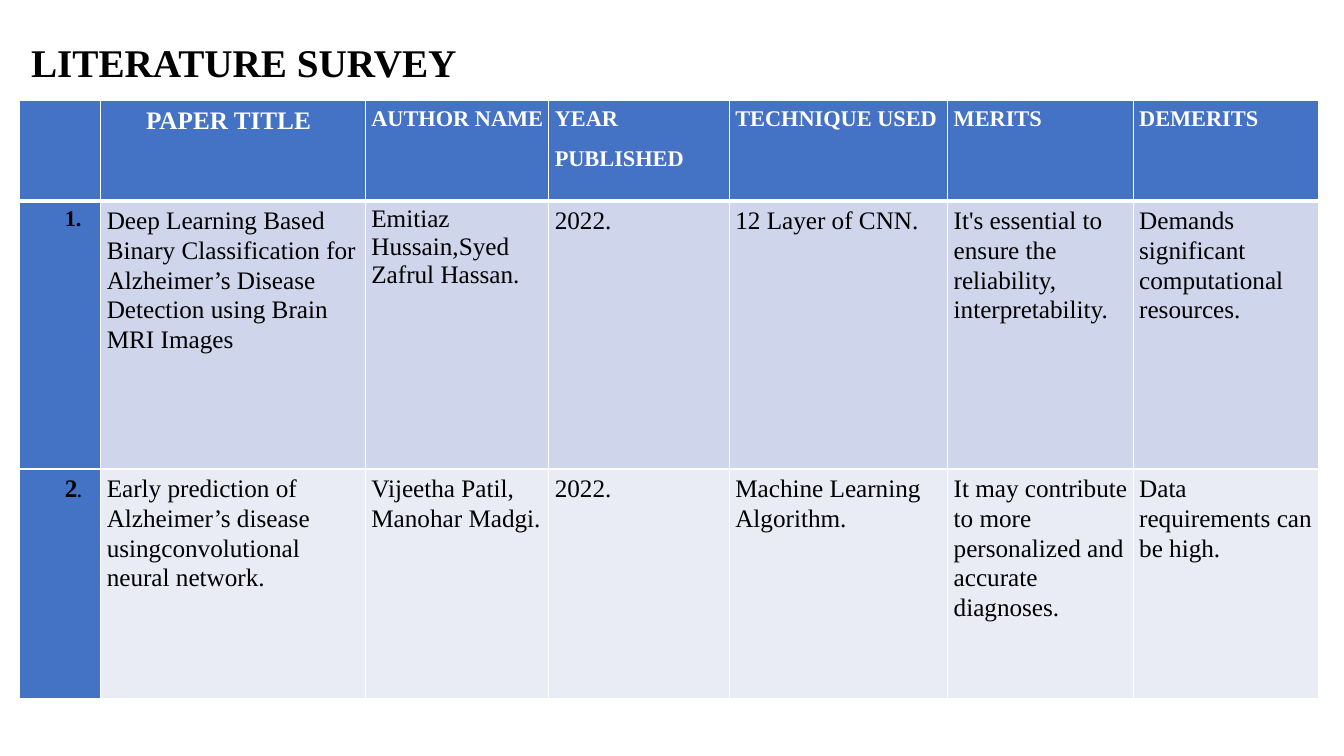
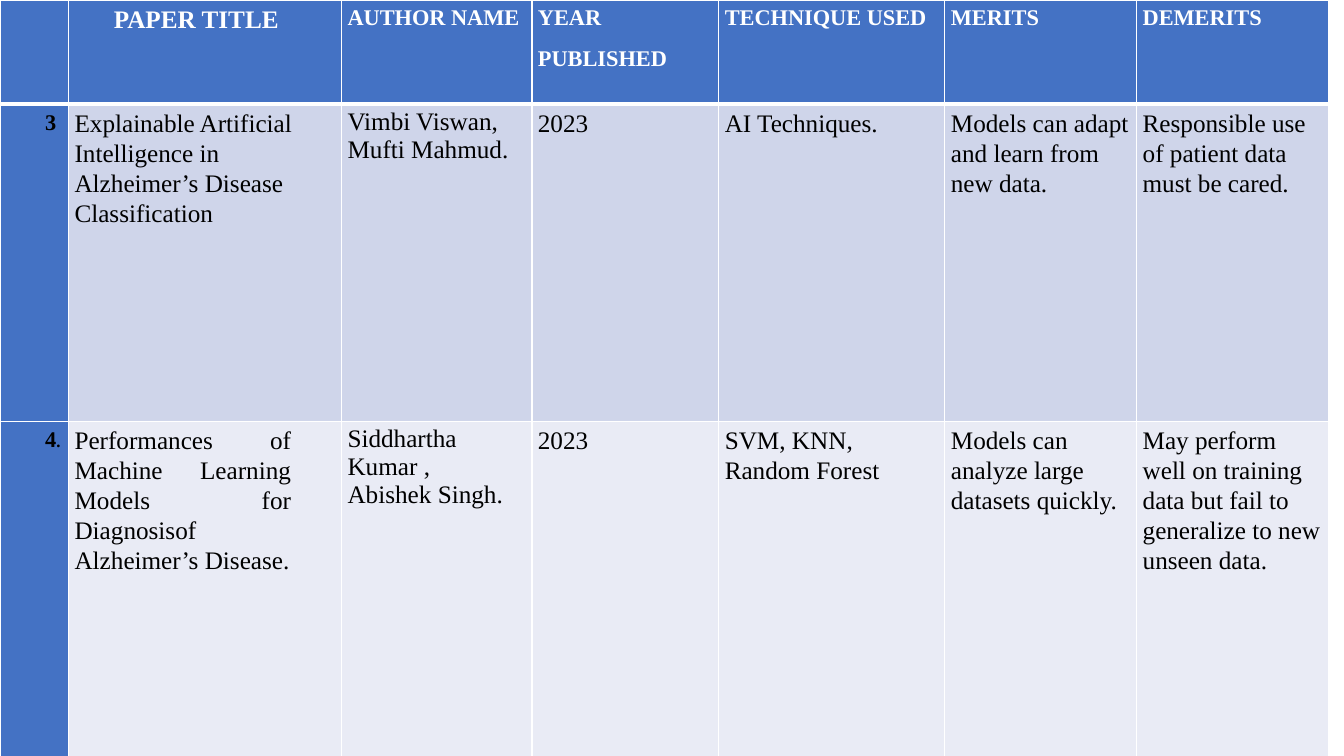
from dataclasses import dataclass

from lxml.etree import SubElement
from pptx import Presentation
from pptx.dml.color import RGBColor
from pptx.enum.text import MSO_ANCHOR, MSO_AUTO_SIZE, PP_ALIGN
from pptx.oxml.ns import qn
from pptx.util import Pt

TITLE_ONLY, BLANK = 5, 6


@dataclass(frozen=True)
class Theme:
    font: str = "Times New Roman"
    white: str = "FFFFFF"
    black: str = "000000"
    accent: str = "4472C4"
    bands: tuple = ("CFD5EA", "E9EBF5")
    title: float = 28
    body: float = 18
    head: float = 16
    dot: float = 12
    rule: float = 1
    head_rule: float = 3


THEME = Theme()
INSETS = {"margin_left": Pt(4.3), "margin_right": Pt(2.2),
          "margin_top": Pt(2.9), "margin_bottom": 0}
INDENTED = {"margin_left": Pt(32.3)}
SPACED = {"line_spacing": 1.07, "space_after": Pt(9.8)}
SINGLE = {"line_spacing": 1.0, "space_after": 0}


@dataclass
class Entry:
    """Text of one cell, with what sets it apart from its neighbours."""
    text: str
    size: float = THEME.body
    bold: bool = False
    color: str = THEME.black
    para: tuple = tuple(SPACED.items())
    cell: tuple = ()
    dot: bool = False  # ends with a smaller full stop


def heading(text, size=THEME.head, **kw):
    return Entry(text, size, True, THEME.white, **kw)


def number(text, size=THEME.head, dot=False):
    return Entry(text, size, True, cell=tuple(INDENTED.items()), dot=dot)


def single(text):
    return Entry(text, para=tuple(SINGLE.items()))


def justified(text):
    return Entry(text, para=(*SPACED.items(), ("alignment", PP_ALIGN.JUSTIFY)),
                 cell=(("margin_right", Pt(36)),))


HEADINGS = [
    Entry(""),
    heading("PAPER TITLE", THEME.body, cell=tuple(INDENTED.items())),
    heading("AUTHOR NAME"),
    heading("YEAR\nPUBLISHED"),
    heading("TECHNIQUE USED"),
    heading("MERITS"),
    heading("DEMERITS"),
]

PAPERS_2022 = [
    [number("1."),
     "Deep Learning Based Binary Classification for Alzheimer’s Disease "
     "Detection using Brain MRI Images",
     single("Emitiaz Hussain,Syed Zafrul Hassan."), "2022.", "12 Layer of CNN.",
     "It's essential to ensure the reliability, interpretability.",
     "Demands significant computational resources."],
    [number("2", THEME.body, dot=True),
     "Early prediction of Alzheimer’s disease usingconvolutional neural network.",
     "Vijeetha Patil, Manohar Madgi.", "2022.", "Machine Learning Algorithm.",
     "It may contribute to more personalized and accurate diagnoses.",
     "Data requirements can be high."],
]

PAPERS_2023 = [
    [number("3"),
     "Explainable Artificial Intelligence in Alzheimer’s Disease Classification",
     single("Vimbi Viswan,\nMufti Mahmud."), "2023", "AI Techniques.",
     "Models can adapt and learn from new data.",
     "Responsible use of patient data must be cared."],
    [number("4", dot=True),
     justified("Performances of Machine Learning Models for Diagnosisof "
               "Alzheimer’s Disease."),
     single("Siddhartha Kumar ,\nAbishek Singh."), "2023",
     "SVM, KNN, Random Forest",
     "Models can analyze large datasets quickly.",
     "May perform well on training data but fail to generalize to new "
     "unseen data."],
]


def apply(obj, formats):
    for name, value in dict(formats).items():
        setattr(obj, name, value)


class Deck:
    """Holds the theme and the slide being built."""

    def __init__(self, theme):
        self.theme = theme
        self.prs = Presentation()
        apply(self.prs, {"slide_width": Pt(960), "slide_height": Pt(540)})

    def add_slide(self, layout):
        self.s = self.prs.slides.add_slide(self.prs.slide_layouts[layout])

    def run(self, p, text, size, bold, color):
        r = p.add_run()
        r.text = text
        apply(r.font, {"name": self.theme.font, "size": Pt(size), "bold": bold})
        r.font.color.rgb = RGBColor.from_string(color)

    def title(self, text, left, top, width, height):
        sp = self.s.shapes.title
        apply(sp, {"left": Pt(left), "top": Pt(top),
                   "width": Pt(width), "height": Pt(height)})
        tf = sp.text_frame
        apply(tf, {"auto_size": MSO_AUTO_SIZE.NONE, "word_wrap": True,
                   "vertical_anchor": MSO_ANCHOR.TOP})
        p = tf.paragraphs[0]
        p.alignment = PP_ALIGN.LEFT
        self.run(p, text, self.theme.title, True, self.theme.black)

    def borders(self, cell, top, bottom):
        tcPr = cell._tc.get_or_add_tcPr()
        rule = self.theme.rule
        sides = {"lnL": rule, "lnR": rule, "lnT": top, "lnB": bottom}
        for i, (side, width) in enumerate(sides.items()):
            ln = SubElement(tcPr, qn(f"a:{side}"), w=str(Pt(width)))
            fill = SubElement(ln, qn("a:solidFill"))
            SubElement(fill, qn("a:srgbClr"), val=self.theme.white)
            tcPr.insert(i, ln)  # borders come before the fill

    def cell(self, cell, entry, fill):
        apply(cell, INSETS)
        apply(cell, entry.cell)
        cell.fill.solid()
        cell.fill.fore_color.rgb = RGBColor.from_string(fill)
        tf = cell.text_frame
        for i, line in enumerate(entry.text.split("\n")):
            p = tf.add_paragraph() if i else tf.paragraphs[0]
            apply(p, entry.para)
            if line:
                self.run(p, line, entry.size, entry.bold, entry.color)
        if entry.dot:
            self.run(p, ".", self.theme.dot, entry.bold, entry.color)

    def table(self, papers, left, top, widths, heights):
        t = self.theme
        rows = [HEADINGS, *papers]
        frame = self.s.shapes.add_table(
            len(rows), len(widths), Pt(left), Pt(top),
            Pt(sum(widths)), Pt(sum(heights)))
        table = frame.table
        for column, width in zip(table.columns, widths):
            column.width = Pt(width)
        for row, height in zip(table.rows, heights):
            row.height = Pt(height)
        for i, row in enumerate(rows):
            for j, item in enumerate(row):
                entry = Entry(item) if isinstance(item, str) else item
                cell = table.cell(i, j)
                in_accent = i == 0 or j == 0
                self.cell(cell, entry, t.accent if in_accent else t.bands[i - 1])
                self.borders(cell, t.head_rule if i == 1 else t.rule,
                             t.head_rule if i == 0 else t.rule)


def main():
    deck = Deck(THEME)

    deck.add_slide(TITLE_ONLY)
    deck.title("LITERATURE SURVEY", 15, 24, 536, 41)
    deck.table(PAPERS_2022, 14, 72,
               [58, 189, 131, 129, 156, 132.5, 132.5], [71.5, 191.5, 164])

    deck.add_slide(BLANK)
    deck.table(PAPERS_2023, 0, 0,
               [49, 195, 136, 133.5, 161.5, 137, 137], [74.5, 226.5, 248.5])

    deck.prs.save("out.pptx")


if __name__ == "__main__":
    main()
